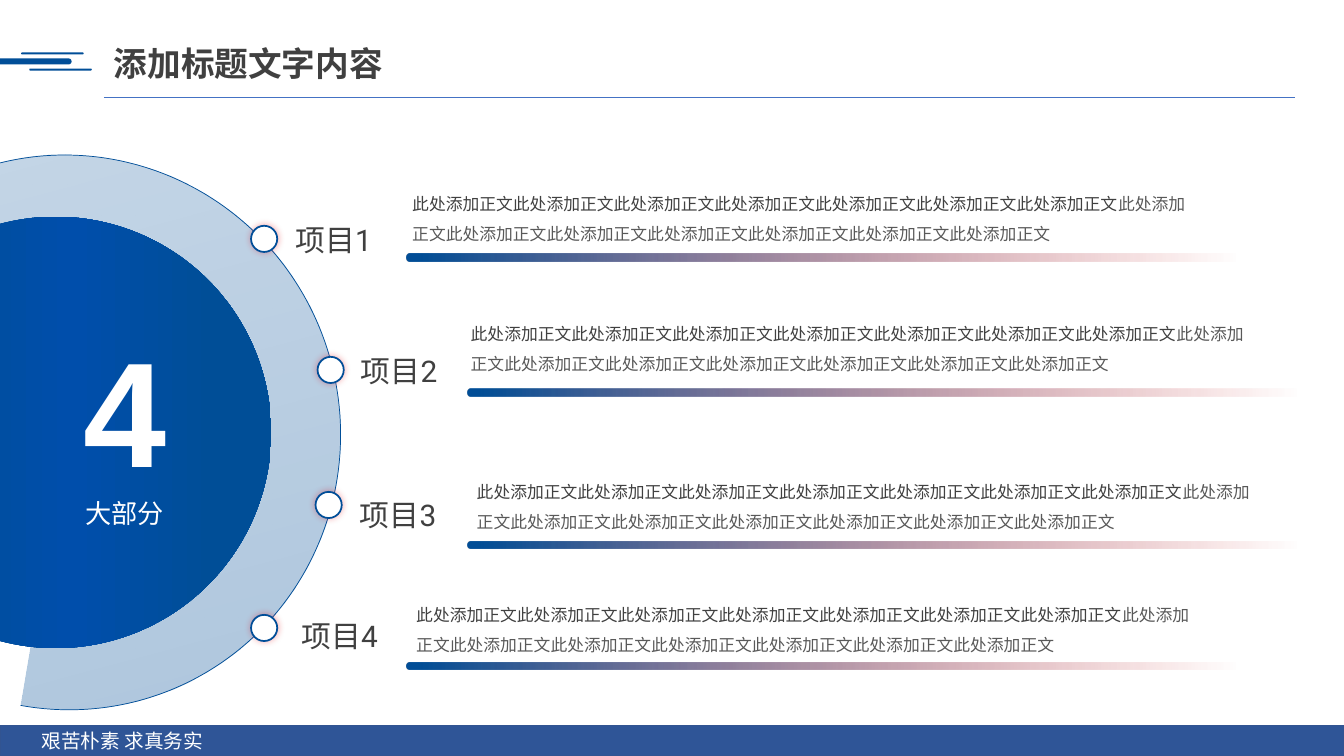
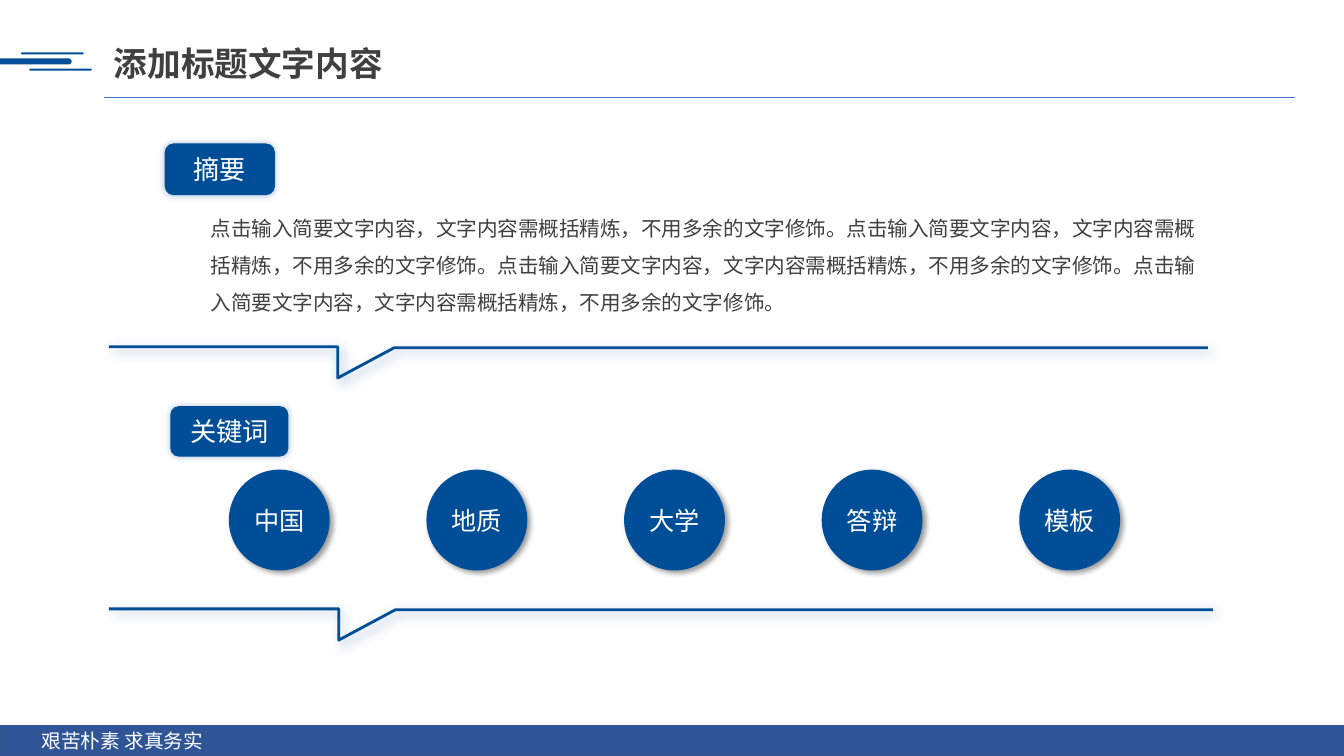
from lxml.etree import SubElement
from pptx import Presentation
from pptx.dml.color import RGBColor
from pptx.enum.shapes import MSO_CONNECTOR, MSO_SHAPE as SHAPE
from pptx.enum.text import MSO_ANCHOR as ANCHOR, MSO_AUTO_SIZE as AUTO_SIZE, PP_ALIGN as ALIGN
from pptx.oxml import parse_xml
from pptx.oxml.ns import nsdecls, qn
from pptx.util import Inches, Pt

WHITE = RGBColor(0xFF, 0xFF, 0xFF)
BLACK = RGBColor(0x00, 0x00, 0x00)
BLUE = RGBColor(0x00, 0x4E, 0x98)
DEEP_BLUE = RGBColor(0x00, 0x4E, 0x97)
BRIGHT_BLUE = RGBColor(0x00, 0x4E, 0xAB)
RULE_BLUE = RGBColor(0x44, 0x72, 0xC4)
FOOTER_BLUE = RGBColor(0x2F, 0x55, 0x97)
FOOTER_EDGE = RGBColor(0x32, 0x54, 0x91)
RED = RGBColor(0xCB, 0x0B, 0x0A)
GLOW_RED = RGBColor(0xE2, 0x00, 0x10)
DARK = RGBColor(0x40, 0x40, 0x40)
GRAY = RGBColor(0x59, 0x59, 0x59)

ROBOTO = "Roboto"
ARIAL = "Arial"
NOTO = "Noto Sans CJK SC"

TITLE = "添加标题文字内容"
FOOTER = "艰苦朴素 求真务实"
PHRASE = "此处添加正文" * 7
SUMMARY = "点击输入简要文字内容，文字内容需概括精炼，不用多余的文字修饰。" * 4
KEYWORDS = ["中国", "地质", "大学", "答辩", "模板"]
ITEMS = [
    ("项目1", (2.49, 2.24), (2.83, 2.15), (3.99, 1.77), (4.03, 2.52)),
    ("项目2", (3.15, 3.54), (3.48, 3.45), (4.57, 3.06), (4.64, 3.86)),
    ("项目3", (3.13, 4.88), (3.47, 4.88), (4.63, 4.63), (4.64, 5.37)),
    ("项目4", (2.49, 6.10), (2.89, 6.08), (4.03, 5.85), (4.03, 6.57)),
]


def write(para, text, size=12, color=DARK, font=ROBOTO, bold=False, align=None, spacing=None):
    """Add a formatted span of text to a paragraph."""
    span = para.add_run()
    span.text = text
    span.font.size = Pt(size)
    span.font.bold = bold
    span.font.color.rgb = color
    span.font.name = font
    SubElement(span.font._element, qn("a:ea")).set("typeface", NOTO)
    if align is not None:
        para.alignment = align
    if spacing is not None:
        para.line_spacing = spacing


def add_text_box(page, left, top, width, height):
    """Add a wrapping text box and return its text frame."""
    box = page.shapes.add_textbox(Inches(left), Inches(top), Inches(width), Inches(height))
    frame = box.text_frame
    frame.word_wrap = True
    frame.auto_size = AUTO_SIZE.SHAPE_TO_FIT_TEXT
    return frame


def set_outline(shape, color, width):
    """Give a shape a line, or none when no width is set."""
    if width:
        shape.line.color.rgb = color
        shape.line.width = Pt(width)
    else:
        shape.line.fill.background()


def add_shape(shapes, kind, left, top, width, height, fill=None, line=BLUE, line_width=0):
    """Add a preset shape without shadow."""
    shape = shapes.add_shape(kind, Inches(left), Inches(top), Inches(width), Inches(height))
    shape.shadow.inherit = False
    if fill is not None:
        shape.fill.solid()
        shape.fill.fore_color.rgb = fill
    set_outline(shape, line, line_width)
    return shape


def add_pill(shapes, *place, fill=None):
    """Add a bar with fully rounded ends."""
    pill = add_shape(shapes, SHAPE.ROUNDED_RECTANGLE, *place, fill=fill)
    pill.adjustments[0] = 0.5
    return pill


def set_gradient(shape, *stops):
    """Fill a shape from left to right with (position, colour, opacity) stops in percent."""
    marks = "".join(
        f'<a:gs pos="{position * 1000}"><a:srgbClr val="{color}">'
        f'<a:alpha val="{opacity * 1000}"/></a:srgbClr></a:gs>'
        for position, color, opacity in stops
    )
    gradient = parse_xml(
        f'<a:gradFill {nsdecls("a")} rotWithShape="1"><a:gsLst>{marks}</a:gsLst>'
        '<a:lin ang="0" scaled="0"/></a:gradFill>'
    )
    shape._element.spPr.find(qn("a:prstGeom")).addnext(gradient)


def cast_shadow(shape, color, opacity, blur, distance=0, angle=0):
    """Give a shape an outer shadow."""
    shape.shadow.inherit = False
    align = "tl" if distance else "ctr"
    shape._element.spPr.find(qn("a:effectLst")).append(parse_xml(
        f'<a:outerShdw {nsdecls("a")} blurRad="{Pt(blur)}" dist="{Pt(distance)}" '
        f'dir="{angle * 60000}" algn="{align}" rotWithShape="0"><a:srgbClr val="{color}">'
        f'<a:alpha val="{opacity * 1000}"/></a:srgbClr></a:outerShdw>'
    ))


def label_shape(shape, text, size, font):
    """Centre white text in a shape."""
    frame = shape.text_frame
    frame.vertical_anchor = ANCHOR.MIDDLE
    write(frame.paragraphs[0], text, size=size, color=WHITE, font=font, align=ALIGN.CENTER)


def add_title(page):
    """Place and format the title with its rule."""
    title = page.shapes.title
    title.left, title.top, title.width, title.height = map(Inches, (1.03, 0.38, 3.72, 0.5))
    frame = title.text_frame
    frame.vertical_anchor = ANCHOR.TOP
    frame.auto_size = AUTO_SIZE.NONE
    write(frame.paragraphs[0], TITLE, size=24, bold=True, align=ALIGN.LEFT)
    rule = page.shapes.add_connector(
        MSO_CONNECTOR.STRAIGHT, Inches(1.03), Inches(0.97), Inches(12.84), Inches(0.97)
    )
    set_outline(rule, RULE_BLUE, 0.5)
    SubElement(rule._element.spPr, qn("a:effectLst"))


def add_page(deck):
    """Add a slide with the shared title, accent and footer."""
    page = deck.slides.add_slide(deck.slide_layouts[5])
    accent = page.shapes.add_group_shape()
    for place in ((-0.91, 0.58, 1.62, 0.06), (0.29, 0.68, 0.62, 0.02), (0.21, 0.52, 0.62, 0.02)):
        add_pill(accent.shapes, *place, fill=BLUE)
    add_title(page)
    add_shape(page.shapes, SHAPE.RECTANGLE, 0, 7.2, 13.33, 0.3,
              fill=FOOTER_BLUE, line=FOOTER_EDGE, line_width=1)
    frame = add_text_box(page, 0, 7.18, 2.43, 0.34)
    write(frame.paragraphs[0], FOOTER, size=14, color=WHITE, align=ALIGN.CENTER)
    return page


def add_dial(page):
    """Add the large disc, its ring and the count."""
    ring = add_shape(page.shapes, SHAPE.ARC, -2.09, 1.58, 5.51, 5.42, line_width=0.5)
    ring.rotation = 75
    ring.adjustments[0] = 108.058 * 0.6
    ring.adjustments[1] = 24.647 * 0.6
    set_gradient(ring, (0, DEEP_BLUE, 23), (100, DEEP_BLUE, 32))
    disc = add_shape(page.shapes, SHAPE.OVAL, -1.59, 2.15, 4.28, 4.28)
    set_gradient(disc, (18, DEEP_BLUE, 100), (54, BRIGHT_BLUE, 100), (87, DEEP_BLUE, 100))
    frame = add_text_box(page, 0.49, 3.11, 1.49, 2.21)
    write(frame.paragraphs[0], "4", size=106.67, color=WHITE, font=ARIAL, bold=True,
          align=ALIGN.CENTER)
    write(frame.add_paragraph(), "大部分", size=18.67, color=WHITE, align=ALIGN.CENTER)


def add_item(page, name, dot_at, name_at, body_at, bar_at):
    """Add one item: dot, name, body text and fading bar."""
    dot = add_shape(page.shapes, SHAPE.OVAL, *dot_at, 0.26, 0.26, fill=WHITE, line_width=1.25)
    cast_shadow(dot, GLOW_RED, 32, 5)
    write(add_text_box(page, *name_at, 1.1, 0.46).paragraphs[0], name, size=21.33)
    body = add_text_box(page, *body_at, 7.98, 0.67).paragraphs[0]
    for color in (DARK, GRAY):
        write(body, PHRASE, color=color, font=NOTO, spacing=1.5)
    bar = add_pill(page.shapes, *bar_at, 8.24, 0.07)
    set_gradient(bar, (1, DEEP_BLUE, 100), (100, RED, 0))


def add_tag(page, text, left, top, width, line_width=0):
    """Add a rounded section tag."""
    tag = add_shape(page.shapes, SHAPE.ROUNDED_RECTANGLE, left, top, width, 0.5,
                    fill=BLUE, line_width=line_width)
    cast_shadow(tag, BLUE, 34, 5)
    frame = tag.text_frame
    frame.margin_left = frame.margin_right = Inches(0.13)
    frame.margin_top = frame.margin_bottom = Inches(0.07)
    label_shape(tag, text, 18.67, ROBOTO)


def add_notched_line(page, top, notch, right):
    """Add a section line with a speech-bubble notch."""
    points = [(right, top + 0.01), (notch + 0.56, top + 0.01), (notch, top + 0.31),
              (notch, top), (1.08, top)]
    corners = [(Inches(x), Inches(y)) for x, y in points]
    builder = page.shapes.build_freeform(*corners[0])
    builder.add_line_segments(corners[1:], close=False)
    outline = builder.convert_to_shape()
    outline.fill.background()
    set_outline(outline, BLUE, 2)
    cast_shadow(outline, BLUE, 40, 8, 3, 45)


def add_keyword(page, text, left):
    """Add a keyword circle."""
    circle = add_shape(page.shapes, SHAPE.OVAL, left, 4.66, 1, 1, fill=BLUE)
    cast_shadow(circle, BLACK, 40, 4, 3, 45)
    label_shape(circle, text, 18, NOTO)


def build_items_page(deck):
    """Build the slide with four items around the dial."""
    page = add_page(deck)
    add_dial(page)
    for item in ITEMS:
        add_item(page, *item)


def build_summary_page(deck):
    """Build the slide with summary and keywords."""
    page = add_page(deck)
    add_notched_line(page, 3.44, 3.35, 11.98)
    add_tag(page, "摘要", 1.64, 1.43, 1.08, line_width=1)
    summary = add_text_box(page, 1.99, 1.97, 10, 1.27).paragraphs[0]
    write(summary, SUMMARY, size=14.67, font=NOTO, spacing=1.5)
    add_notched_line(page, 6.04, 3.36, 12.03)
    add_tag(page, "关键词", 1.69, 4.03, 1.17)
    for index, keyword in enumerate(KEYWORDS):
        add_keyword(page, keyword, 2.27 + 1.96 * index)


def main():
    """Build and save the deck."""
    deck = Presentation()
    deck.slide_width = Inches(13.33)
    deck.slide_height = Inches(7.5)
    build_items_page(deck)
    build_summary_page(deck)
    deck.save("out.pptx")


if __name__ == "__main__":
    main()
